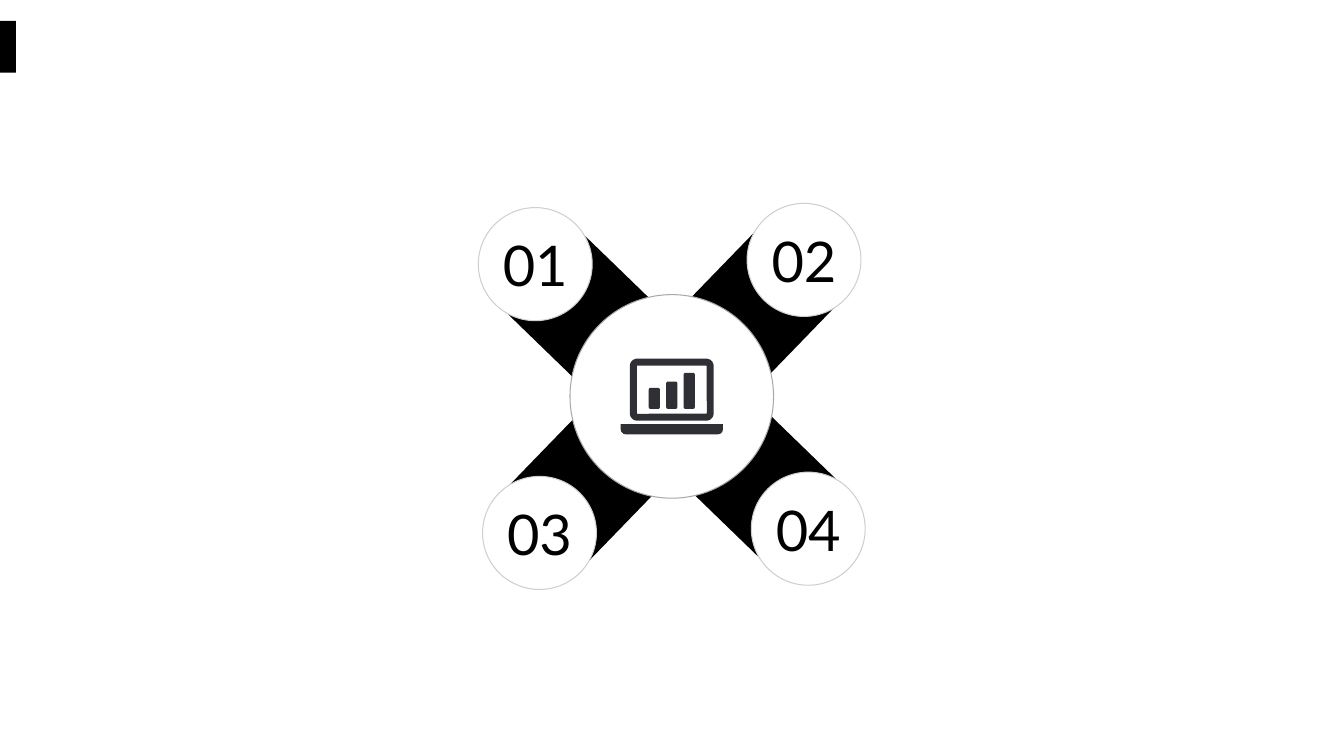
import math

from pptx import Presentation
from pptx import util as u
from pptx.dml.color import RGBColor
from pptx.enum import shapes, text

COLORS = {
    "black": "000000",
    "white": "FFFFFF",
    "node_line": "CFCFCF",
    "hub_line": "A6AAA9",
    "icon": "2F3035",
}
FONT = "Lato"
SHAPE = shapes.MSO_SHAPE


def add_box(slide, kind, box, fill=None, line=None, line_width=0.75):
    """Add a preset shape; box is left, top, width, height in centimetres."""
    shape = slide.shapes.add_shape(kind, *[u.Cm(length) for length in box])
    shape.shadow.inherit = False
    if fill:
        shape.fill.solid()
        shape.fill.fore_color.rgb = RGBColor.from_string(COLORS[fill])
    else:
        shape.fill.background()
    if line:
        shape.line.color.rgb = RGBColor.from_string(COLORS[line])
        shape.line.width = u.Pt(line_width)
    else:
        shape.line.fill.background()
    return shape


def centred(x, y, width, height):
    return x - width / 2, y - height / 2, width, height


def set_number(shape, number):
    frame = shape.text_frame
    frame.margin_left = frame.margin_right = u.Cm(0.1)
    frame.margin_top = frame.margin_bottom = u.Cm(0.1)
    frame.vertical_anchor = text.MSO_ANCHOR.MIDDLE
    frame.text = number
    paragraph = frame.paragraphs[0]
    paragraph.alignment = text.PP_ALIGN.CENTER
    font = paragraph.runs[0].font
    font.name = FONT
    font.size = u.Pt(40)
    font.color.rgb = RGBColor.from_string(COLORS["black"])


def add_laptop(slide, box):
    left, top, width, height = box
    # Base with rounded lower corners
    base_height = 0.26
    base = add_box(slide, SHAPE.ROUND_2_SAME_RECTANGLE,
                   (left, top + height - base_height, width, base_height), "icon")
    base.rotation = 180
    base.adjustments[0] = 0.5
    # Screen frame
    screen = add_box(slide, SHAPE.ROUNDED_RECTANGLE,
                     (left + 0.32, top + 0.09, width - 0.64, 1.39),
                     line="icon", line_width=5)
    screen.adjustments[0] = 0.07
    # Chart bars on a common baseline
    for index, bar_height in enumerate((0.53, 0.69, 0.91)):
        bar = add_box(slide, SHAPE.ROUNDED_RECTANGLE,
                      (left + 0.71 + 0.44 * index, top + 1.27 - bar_height,
                       0.28, bar_height), "icon")
        bar.adjustments[0] = 0.15


def add_wheel(slide, box):
    left, top, width, height = box
    centre_x, centre_y = left + width / 2, top + height / 2
    arm_side, arm_distance, node_distance = 2.77, 3.17, 4.79

    # Four arms at right angles, each with a numbered node
    for index, number in enumerate(("02", "04", "03", "01")):
        angle = 90 * index - 45.9
        cosine, sine = math.cos(math.radians(angle)), math.sin(math.radians(angle))
        arm = add_box(slide, SHAPE.RECTANGLE,
                      centred(centre_x + arm_distance * cosine,
                              centre_y + arm_distance * sine, arm_side, arm_side),
                      "black")
        arm.rotation = angle
        node = add_box(slide, SHAPE.OVAL,
                       centred(centre_x + node_distance * cosine,
                               centre_y + node_distance * sine, 2.87, 2.85),
                       "white", "node_line")
        set_number(node, number)

    # Hub and its icon
    add_box(slide, SHAPE.OVAL, centred(centre_x, centre_y, 5.13, 5.13),
            "white", "hub_line")
    add_laptop(slide, centred(centre_x, centre_y, 2.58, 1.91))


def main():
    presentation = Presentation()
    presentation.slide_width, presentation.slide_height = u.Cm(33.87), u.Cm(19.05)
    slide = presentation.slides.add_slide(presentation.slide_layouts[6])
    add_wheel(slide, (12.03, 5.09, 9.8, 9.8))
    # Accent at the left edge
    add_box(slide, SHAPE.RECTANGLE, (0, 0.53, 0.4, 1.3), "black")
    presentation.save("out.pptx")


if __name__ == "__main__":
    main()
